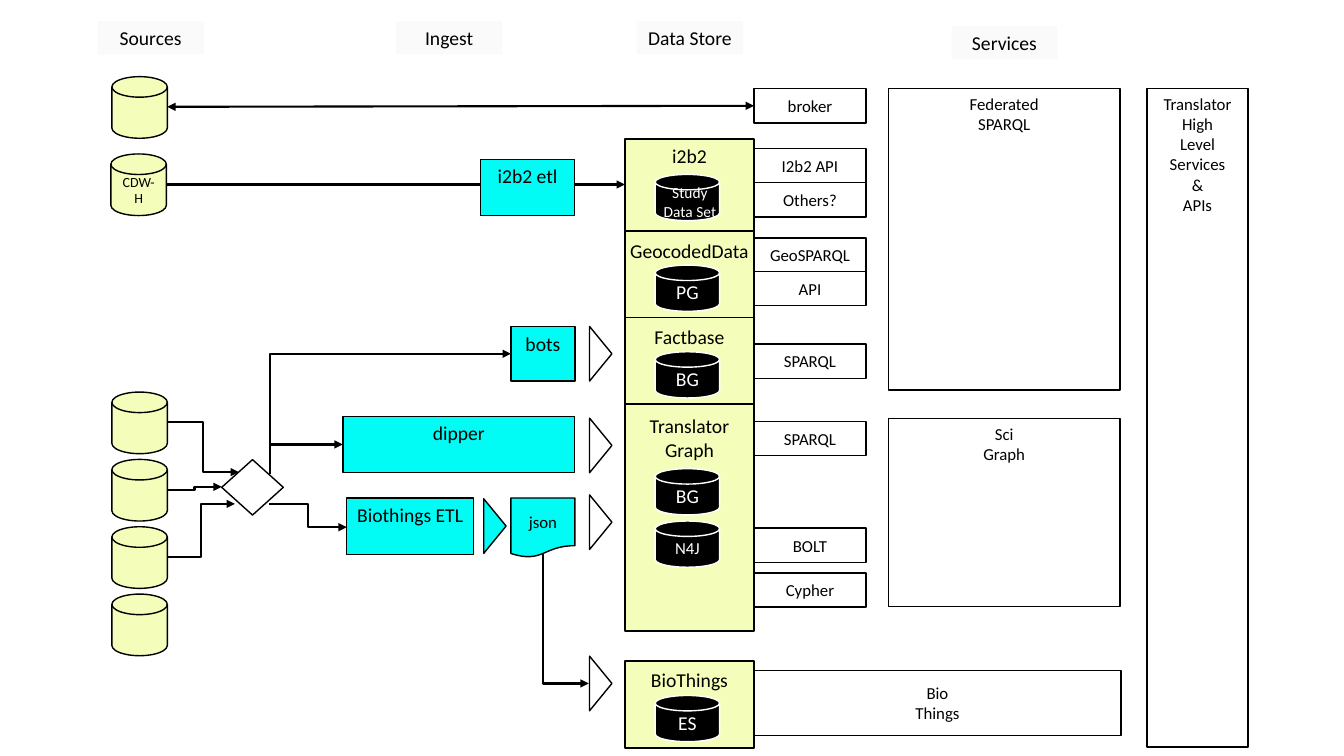
from dataclasses import dataclass

from lxml import etree
from pptx import Presentation
from pptx.dml.color import RGBColor
from pptx.enum.shapes import MSO_CONNECTOR, MSO_SHAPE
from pptx.enum.text import MSO_ANCHOR, PP_ALIGN
from pptx.oxml.ns import qn
from pptx.util import Pt

RECTANGLE = MSO_SHAPE.RECTANGLE
DISK = MSO_SHAPE.FLOWCHART_MAGNETIC_DISK
TRIANGLE = MSO_SHAPE.FLOWCHART_EXTRACT
DIAMOND = MSO_SHAPE.FLOWCHART_DECISION
DOCUMENT = MSO_SHAPE.FLOWCHART_DOCUMENT
TOP, MIDDLE = MSO_ANCHOR.TOP, MSO_ANCHOR.MIDDLE
CENTER = PP_ALIGN.CENTER
STRAIGHT, ELBOW = MSO_CONNECTOR.STRAIGHT, MSO_CONNECTOR.ELBOW

COLORS = {"black": "000000", "white": "FFFFFF", "yellow": "F4FDB9",
          "cyan": "00FCF4", "grey": "FAFAFA"}


@dataclass
class Style:
    fill: str | None
    line: str | None = "black"
    ink: str = "black"
    geometry: int = RECTANGLE
    anchor: int = MIDDLE
    inset: float = 3.6


STYLES = {
    "header": Style("grey", line=None, anchor=TOP),
    "source": Style("yellow", geometry=DISK, inset=7.2),
    "store": Style("yellow"),
    "label": Style(None, line=None, anchor=TOP, inset=0),
    "database": Style("black", "white", "white", DISK, inset=7.2),
    "caption": Style(None, None, "white", anchor=TOP, inset=0),
    "ingest": Style("cyan", anchor=TOP),
    "document": Style("cyan", geometry=DOCUMENT),
    "interface": Style("white"),
    "service": Style("white", anchor=TOP),
    "decision": Style("white", geometry=DIAMOND),
    "feed": Style("white", geometry=TRIANGLE),
    "step": Style("cyan", geometry=TRIANGLE),
}


@dataclass
class Part:
    style: str
    left: float
    top: float
    width: float
    height: float
    text: str = ""
    size: float = 14
    rotation: float = 0


@dataclass
class Store:
    name: str
    top: float
    height: float
    label_offset: float
    databases: list[tuple[str, float, float]]  # text, offset, size


@dataclass
class Flow:
    start: tuple[float, float]
    end: tuple[float, float]
    bend: float | None = None  # share of the width; None is straight
    both_ends: bool = False


STORE_LEFT, STORE_WIDTH = 446.4, 92.2
INTERFACE_LEFT = STORE_LEFT + STORE_WIDTH
SOURCE_LEFT, SOURCE_WIDTH, SOURCE_HEIGHT = 79.9, 39.6, 44
FEED_LENGTH, FEED_DEPTH, FEED_CENTER = 39, 16, 429.1

HEADERS = [("Sources", 69.8, 15.1), ("Ingest", 283, 15.1),
           ("Data Store", 455, 15.1), ("Services", 679.7, 18.7)]
STORES = [
    Store("i2b2", 99.4, 65.5, 0, [("", 25.2, 14)]),
    Store("GeocodedData", 164.9, 61.9, 2, [("PG", 24.5, 14)]),
    Store("Factbase", 226.8, 61.9, 1.5, [("BG", 24.5, 14)]),
    Store("BioThings", 472.3, 61.9, 1.5, [("ES", 24.5, 14)]),
    Store("Translator Graph", 288.7, 162, 3.6,
          [("BG", 46.1, 14), ("N4J", 83.5, 12)]),
]
INTERFACES = [("broker", 63.4), ("I2b2 API", 106), ("Others?", 130.5),
              ("GeoSPARQL", 170), ("API", 193.9), ("SPARQL", 245.7),
              ("SPARQL", 301), ("BOLT", 377.3), ("Cypher", 409.2)]
SERVICES = [
    Part("interface", INTERFACE_LEFT, 479, 262, 46.6, "Bio\nThings", 12),
    Part("service", 634.5, 298.8, 165.6, 134.6, "Sci\nGraph", 12),
    Part("service", 634.5, 63.4, 165.6, 215.3, "Federated\nSPARQL", 12),
    Part("service", 819.4, 63.4, 72, 470.2,
         "Translator\nHigh\nLevel\nServices\n&\nAPIs", 12),
]
INGEST = [
    Part("ingest", 245, 297.4, 165.6, 40.3, "dipper"),
    Part("ingest", 365, 233.3, 45.7, 39, "bots"),
    Part("ingest", 247.7, 355.7, 90.7, 40.3, "Biothings ETL"),
    Part("document", 365, 355.7, 45.7, 42.5, "json", 12),
    Part("decision", 158.4, 328.3, 44, 39.6),
]
FLOWS = [
    Flow((538.6, 75.6), (119.5, 76.3), both_ends=True),
    Flow((119.5, 301.7), (170.6, 337.3), 0.5),
    Flow((119.5, 349.9), (158.4, 347.8), 0.5),
    Flow((119.5, 398.2), (167.8, 360), 0.5),
    Flow((193, 338.4), (365, 252.7), 0),
    Flow((193, 337.7), (244.8, 317.5), 0),
    Flow((192.2, 360), (247.7, 376.6), 0.5),
    Flow((388.1, 395.3), (420.5, 488.2), 0),
    Flow((118.8, 131.8), (446.4, 131.8)),
]
# These lie over the flow from the warehouse
I2B2_PARTS = [
    Part("ingest", 343.4, 113.8, 67, 40.3, "i2b2 etl"),
    Part("caption", 453.6, 127.4, 78.5, 33.8, "Study\nData Set", 11),
]


def color(name: str) -> RGBColor:
    return RGBColor.from_string(COLORS[name])


def set_all(target, values: dict) -> None:
    for name, value in values.items():
        setattr(target, name, value)


def draw_part(slide, part: Part) -> None:
    style = STYLES[part.style]
    box = [Pt(v) for v in (part.left, part.top, part.width, part.height)]
    if style.fill is None:
        shape = slide.shapes.add_textbox(*box)
    else:
        shape = slide.shapes.add_shape(style.geometry, *box)
        shape.shadow.inherit = False
        shape.rotation = part.rotation
        shape.fill.solid()
        shape.fill.fore_color.rgb = color(style.fill)
        if style.line:
            shape.line.color.rgb = color(style.line)
            shape.line.width = Pt(1)
        else:
            shape.line.fill.background()
    if not part.text:
        return
    frame = shape.text_frame
    frame.text = part.text
    set_all(frame, {"word_wrap": True, "vertical_anchor": style.anchor,
                    "margin_left": Pt(style.inset),
                    "margin_right": Pt(style.inset)})
    for paragraph in frame.paragraphs:
        paragraph.alignment = CENTER
        set_all(paragraph.font, {"name": "Calibri", "size": Pt(part.size)})
        paragraph.font.color.rgb = color(style.ink)


def draw_flow(slide, flow: Flow) -> None:
    kind = STRAIGHT if flow.bend is None else ELBOW
    connector = slide.shapes.add_connector(
        kind, *[Pt(v) for v in flow.start + flow.end])
    connector.line.color.rgb = color("black")
    connector.line.width = Pt(1.5)
    properties = connector._element.spPr
    ends = ("headEnd", "tailEnd") if flow.both_ends else ("tailEnd",)
    for end in ends:
        etree.SubElement(properties.find(qn("a:ln")), qn(f"a:{end}"),
                         type="triangle")
    etree.SubElement(properties, qn("a:effectLst"))
    if flow.bend is not None:
        guides = properties.find(qn("a:prstGeom")).find(qn("a:avLst"))
        etree.SubElement(guides, qn("a:gd"), name="adj1",
                         fmla=f"val {round(flow.bend * 100000)}")


def store_parts(store: Store) -> list[Part]:
    parts = [Part("store", STORE_LEFT, store.top, STORE_WIDTH, store.height),
             Part("label", STORE_LEFT, store.top + store.label_offset,
                  STORE_WIDTH, 24.5, store.name)]
    for text, offset, size in store.databases:
        parts.append(Part("database", 468, store.top + offset, 46, 33,
                          text, size))
    return parts


def arrowhead(style: str, center_x: float, center_y: float) -> Part:
    return Part(style, center_x - FEED_LENGTH / 2, center_y - FEED_DEPTH / 2,
                FEED_LENGTH, FEED_DEPTH, rotation=90)


def main() -> None:
    presentation = Presentation()
    set_all(presentation, {"slide_width": Pt(960), "slide_height": Pt(540)})
    slide = presentation.slides.add_slide(presentation.slide_layouts[6])

    # Column headers and data stores
    parts = [Part("header", left, top, 75.6, 23.8, text)
             for text, left, top in HEADERS]
    for store in STORES:
        parts += store_parts(store)

    # Sources
    parts += [Part("source", SOURCE_LEFT, top, SOURCE_WIDTH, SOURCE_HEIGHT)
              for top in [54.8] + [280.1 + 48.1 * row for row in range(4)]]
    parts.append(Part("source", 79.2, 110, SOURCE_WIDTH, SOURCE_HEIGHT,
                      "CDW-H", 10))

    # Ingest steps and the feeds into the stores
    parts += INGEST
    parts.append(arrowhead("step", 353.5, 375.8))
    parts += [arrowhead("feed", FEED_CENTER, y)
              for y in (252.7, 318.2, 373, 488.2)]

    # Interfaces and services
    parts += [Part("interface", INTERFACE_LEFT, top, 80, 24.5, text, 12)
              for text, top in INTERFACES]
    parts += SERVICES

    for part in parts:
        draw_part(slide, part)
    for flow in FLOWS:
        draw_flow(slide, flow)
    for part in I2B2_PARTS:
        draw_part(slide, part)

    presentation.save("out.pptx")


if __name__ == "__main__":
    main()
